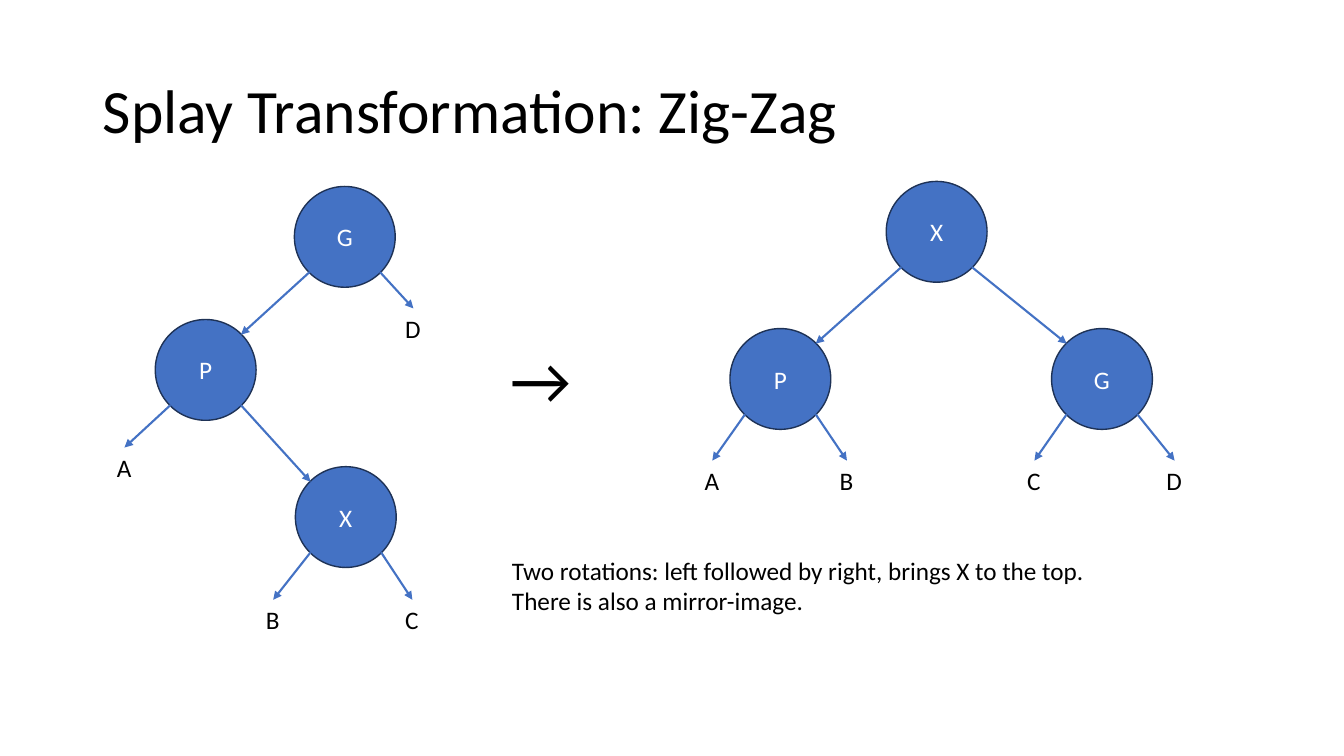
from dataclasses import dataclass
from typing import Any

from lxml.etree import SubElement
from pptx import Presentation
from pptx.dml.color import RGBColor
from pptx.enum.shapes import MSO_CONNECTOR, MSO_SHAPE
from pptx.enum.text import MSO_ANCHOR, MSO_AUTO_SIZE, PP_ALIGN
from pptx.oxml.ns import qn
from pptx.util import Pt

SCALE = 9144
SIZE = 100
INSET = 15


def px(n):
    return n * SCALE


def paint(target, color):
    if hasattr(target, "solid"):
        target.solid()
        target = target.fore_color
    target.rgb = RGBColor.from_string(color)


@dataclass
class Board:
    slide: Any
    font: str = "Calibri"
    ink: str = "000000"
    blue: str = "4472C4"
    rim: str = "1E3256"
    pale: str = "FFFFFF"

    def label(self, frame, lines, size, color, align=PP_ALIGN.LEFT):
        for i, line in enumerate(lines):
            para = frame.add_paragraph() if i else frame.paragraphs[0]
            para.alignment = align
            run = para.add_run()
            run.text = line
            run.font.name = self.font
            run.font.size = Pt(size)
            paint(run.font.color, color)

    def title(self, text, x, y, w, h):
        shape = self.slide.shapes.title
        shape.left, shape.top, shape.width, shape.height = map(px, (x, y, w, h))
        frame = shape.text_frame
        frame.auto_size = MSO_AUTO_SIZE.NONE
        frame.vertical_anchor = MSO_ANCHOR.MIDDLE
        self.label(frame, [text], 44, self.ink)
        frame.paragraphs[0].line_spacing = 0.9

    def text(self, lines, x, y, w, h, size=18):
        box = self.slide.shapes.add_textbox(*map(px, (x, y, w, h)))
        frame = box.text_frame
        frame.word_wrap = False
        frame.auto_size = MSO_AUTO_SIZE.SHAPE_TO_FIT_TEXT
        self.label(frame, lines, size, self.ink)
        return box

    def node(self, name, x, y):
        ball = self.slide.shapes.add_shape(
            MSO_SHAPE.OVAL, px(x), px(y), px(SIZE), px(SIZE))
        ball.shadow.inherit = False
        paint(ball.fill, self.blue)
        paint(ball.line.fill, self.rim)
        ball.line.width = Pt(1)
        ball.text_frame.vertical_anchor = MSO_ANCHOR.MIDDLE
        self.label(ball.text_frame, [name], 18, self.pale, PP_ALIGN.CENTER)

    def arrow(self, x1, y1, x2, y2):
        line = self.slide.shapes.add_connector(
            MSO_CONNECTOR.STRAIGHT, *map(px, (x1, y1, x2, y2)))
        paint(line.line.fill, self.blue)
        line.line.width = Pt(1.5)
        props = line._element.spPr
        SubElement(props.find(qn("a:ln")), qn("a:tailEnd"), type="triangle")
        SubElement(props, qn("a:effectLst"))
        return line

    def tree(self, nodes, links, leaves):
        for name, (x, y) in nodes.items():
            self.node(name, x, y)

        def foot(name, right):
            x, y = nodes[name]
            return x + (SIZE - INSET if right else INSET), y + SIZE - INSET

        for top, low in links:
            x, y = nodes[low]
            right = x > nodes[top][0]
            end = x + (INSET if right else SIZE - INSET)
            self.arrow(*foot(top, right), end, y + INSET)
        for name, top, x, y, w in leaves:
            leaf = self.text([name], x, y, w, 40)
            right = x > nodes[top][0]
            line = self.arrow(*foot(top, right), x + w // 2, y)
            line.end_connect(leaf, 0)


def main():
    deck = Presentation()
    deck.slide_width, deck.slide_height = px(1333), px(750)
    board = Board(deck.slides.add_slide(deck.slide_layouts[5]))
    board.title("Splay Transformation: Zig-Zag", 92, 40, 1150, 145)
    board.tree(
        {"G": (292, 185), "P": (154, 317), "X": (293, 463)},
        ["GP", "PX"],
        [("A", "P", 106, 444, 35), ("B", "X", 254, 595, 34),
         ("C", "X", 392, 595, 34), ("D", "G", 392, 306, 36)])
    board.tree(
        {"X": (879, 180), "P": (724, 326), "G": (1043, 326)},
        ["XP", "XG"],
        [("A", "P", 689, 457, 35), ("B", "P", 823, 457, 34),
         ("C", "G", 1009, 457, 34), ("D", "G", 1147, 457, 36)])
    board.text(["Two rotations: left followed by right, brings X to the top.",
                "There is also a mirror-image."], 498, 546, 616, 71)
    board.text(["→"], 496, 330, 81, 91, 48)
    deck.save("out.pptx")


if __name__ == "__main__":
    main()
